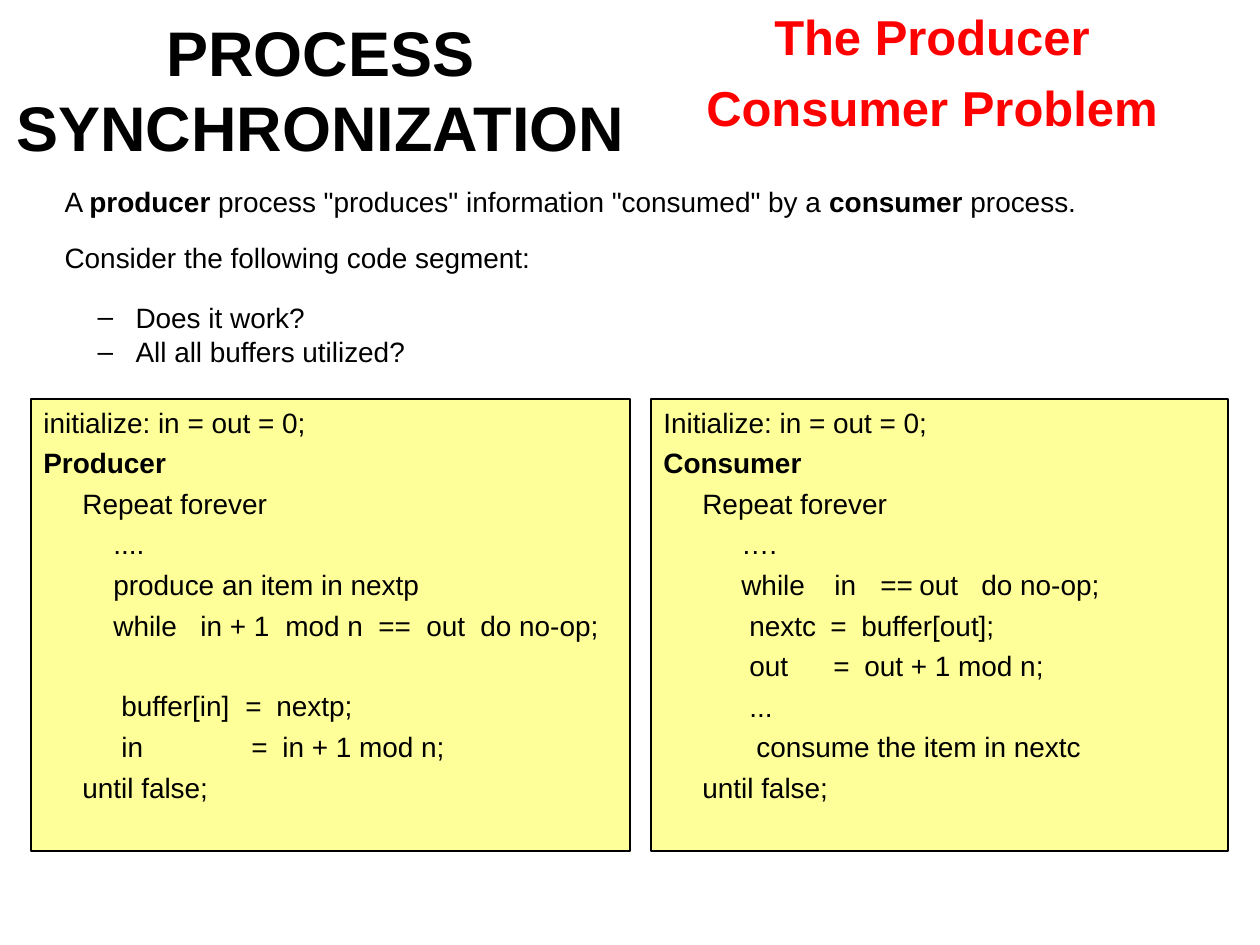
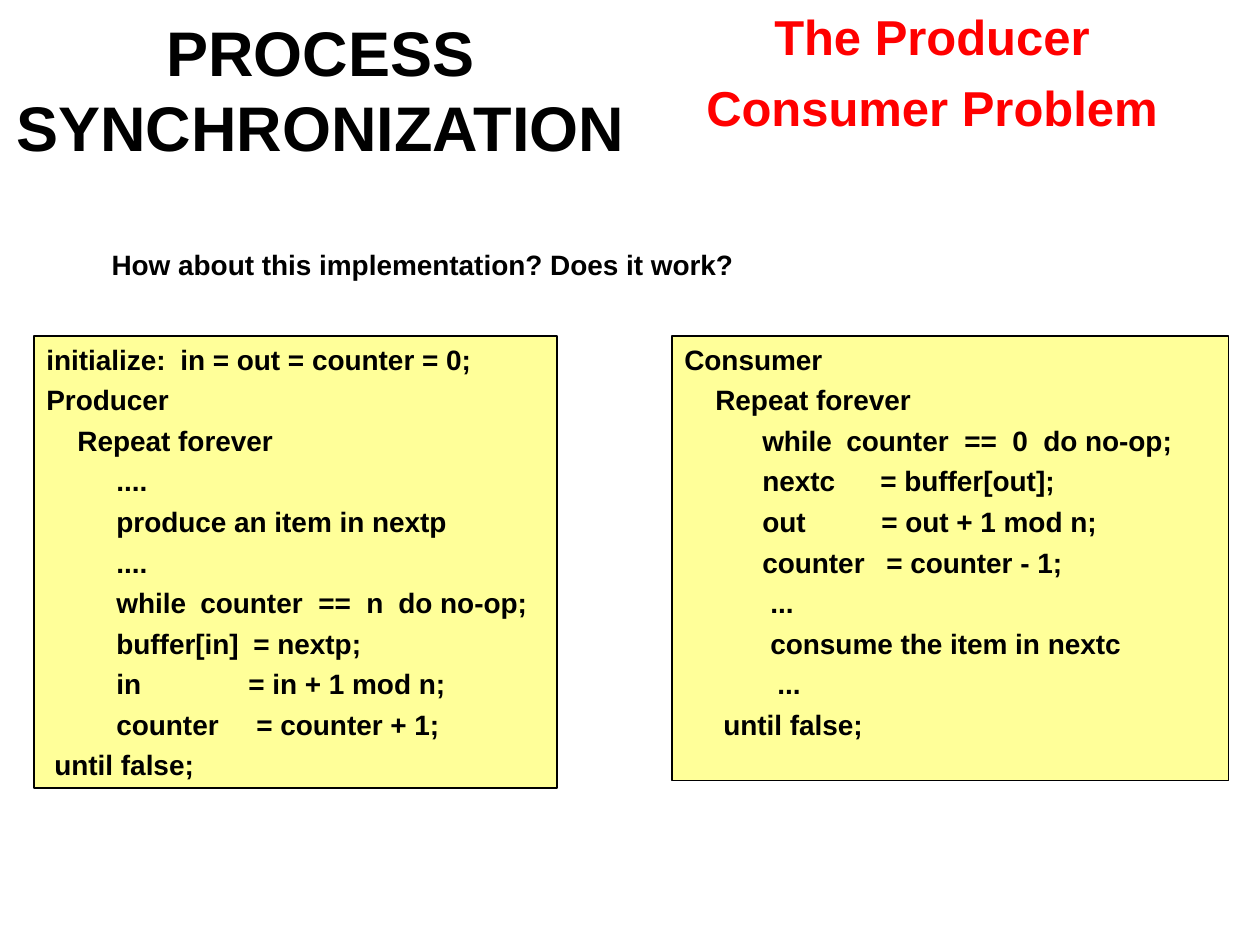
from lxml import etree
from pptx import Presentation
from pptx.dml.color import RGBColor
from pptx.enum.shapes import MSO_SHAPE
from pptx.enum.text import MSO_ANCHOR, MSO_AUTO_SIZE, PP_ALIGN
from pptx.oxml.ns import qn
from pptx.util import Pt

PX = 914400 // 126
BLACK = RGBColor(0x00, 0x00, 0x00)
RED = RGBColor(0xFF, 0x00, 0x00)
YELLOW = RGBColor(0xFF, 0xFF, 0x99)
FONT = "Arial"
BODY_SIZE = 16
LEFT, CENTER = PP_ALIGN.LEFT, PP_ALIGN.CENTER
TOP, MIDDLE = MSO_ANCHOR.TOP, MSO_ANCHOR.MIDDLE
NO_FIT = MSO_AUTO_SIZE.NONE
RECT = MSO_SHAPE.RECTANGLE


def px(*values):
    """Turn pixels into EMU."""
    return [round(v * PX) for v in values]


def place(shape, box):
    """Move a placeholder to a box."""
    shape.left, shape.top, shape.width, shape.height = px(*box)


def frame(shape, anchor=TOP, wrap=True):
    """Set up the text frame of a shape with fixed size."""
    tf = shape.text_frame
    tf.word_wrap = wrap
    tf.auto_size = NO_FIT
    tf.vertical_anchor = anchor
    tf.margin_left = tf.margin_right = Pt(7.2)
    tf.margin_top = tf.margin_bottom = Pt(3.6)
    return tf


def paragraph(tf, runs, size=BODY_SIZE, color=BLACK, align=LEFT, before=4,
              margin=0, indent=0, bullet=None, stops=()):
    """Add a paragraph of (text, bold) runs, set by indents or by tab stops."""
    first = tf.paragraphs[0]
    p = tf.add_paragraph() if first.runs else first
    p.alignment = align
    p.space_before = Pt(before)
    pPr = p._p.get_or_add_pPr()
    if stops:
        tabs = etree.SubElement(pPr, qn("a:tabLst"))
        for pos in px(*stops):
            etree.SubElement(tabs, qn("a:tab"), pos=str(pos), algn="l")
    else:
        pPr.set("marL", str(px(margin)[0]))
        pPr.set("indent", str(px(indent)[0]))
        if bullet:
            etree.SubElement(pPr, qn("a:buChar")).set("char", bullet)
        else:
            etree.SubElement(pPr, qn("a:buNone"))
    for text, bold in runs:
        r = p.add_run()
        r.text = text
        r.font.name, r.font.size, r.font.bold = FONT, Pt(size), bold
        r.font.color.rgb = color


def header(s):
    """Fill the title and add the red topic heading beside it."""
    place(s.shapes.title, (0, 31, 641, 116))
    paragraph(frame(s.shapes.title, MIDDLE), [("PROCESS SYNCHRONIZATION", True)],
              size=36, align=CENTER, before=0)
    tf = frame(s.shapes.add_textbox(*px(694, 0, 476, 142)), wrap=False)
    for line in ("The Producer", "Consumer Problem"):
        paragraph(tf, [(line, True)], size=28, color=RED, align=CENTER, before=7)


def body(s, box):
    """Place the body placeholder and return its text frame."""
    sp = s.placeholders[1]
    place(sp, box)
    return frame(sp)


def code_panel(s, box, lines, all_bold=False, heads=(), gap_before=None):
    """Draw a yellow panel of code; each line is (indent, text, tab stops)."""
    sp = s.shapes.add_shape(RECT, *px(*box))
    sp.shadow.inherit = False
    sp.fill.solid()
    sp.fill.fore_color.rgb = YELLOW
    sp.line.color.rgb = BLACK
    sp.line.width = Pt(0.75)
    tf = frame(sp)
    for i, (indent, text, *stops) in enumerate(lines):
        bold = all_bold or text in heads
        if stops and indent:
            text, stops = "\t" + text, [indent, *stops]
        paragraph(tf, [(text, bold)], indent=indent, stops=stops,
                  before=27 if i == gap_before else 4)


def first_version(prs):
    """Slide with the problem statement and the in/out version."""
    s = prs.slides.add_slide(prs.slide_layouts[0])
    header(s)
    tf = body(s, (52, 178, 1176, 199))
    paragraph(tf, [("A ", False), ("producer", True),
                   (' process "produces" information "consumed" by a ', False),
                   ("consumer", True), (" process.", False)])
    paragraph(tf, [("Consider the following code segment:", False)], before=13)
    for text, before in (("Does it work?", 15), ("All all buffers utilized?", 0.5)):
        paragraph(tf, [(text, False)], before=before, margin=71, indent=-38,
                  bullet="–")
    code_panel(s, (31, 399, 599, 452), [
        (0, "initialize: in = out = 0;"),
        (0, "Producer"),
        (39, "Repeat forever"),
        (70, "...."),
        (70, "produce an item in nextp"),
        (70, "while\tin + 1\tmod n\t==\tout\tdo no-op;", 157, 242, 335, 383, 437),
        (78, "buffer[in]\t=\tnextp;", 202, 233),
        (78, "in\t=\tin + 1 mod n;", 208, 239),
        (39, "until false;"),
    ], heads=("Producer",), gap_before=6)
    code_panel(s, (651, 399, 577, 452), [
        (0, "Initialize: in = out = 0;"),
        (0, "Consumer"),
        (39, "Repeat forever"),
        (78, "…."),
        (78, "while\tin\t==\tout\tdo no-op;", 171, 217, 256, 318),
        (86, "nextc\t=\tbuffer[out];", 167, 198),
        (86, "out\t=\tout + 1 mod n;", 170, 201),
        (86, "..."),
        (93, "consume the item in nextc"),
        (39, "until false;"),
    ], heads=("Consumer",))


def counter_version(prs):
    """Slide with the version that counts the full buffers."""
    s = prs.slides.add_slide(prs.slide_layouts[0])
    header(s)
    tf = body(s, (84, 241, 1103, 73))
    paragraph(tf, [("How about this implementation? Does it work?", True)], indent=15)
    code_panel(s, (34, 336, 523, 452), [
        (0, "initialize:\tin = out = counter = 0;", 134),
        (0, "Producer"),
        (31, "Repeat forever"),
        (70, "...."),
        (70, "produce an item in nextp"),
        (70, "...."),
        (70, "while\tcounter\t==\tn\tdo no-op;", 154, 272, 320, 352),
        (70, "buffer[in]\t= nextp;", 207),
        (70, "in\t= in + 1 mod n;", 202),
        (70, "counter\t= counter + 1;", 210),
        (8, "until false;"),
    ], all_bold=True)
    code_panel(s, (672, 336, 557, 445), [
        (0, "Consumer"),
        (31, "Repeat forever"),
        (78, "while\tcounter\t==\t0\tdo no-op;", 162, 280, 328, 359),
        (78, "nextc\t= buffer[out];", 196),
        (78, "out\t= out + 1 mod n;", 197),
        (78, "counter\t= counter - 1;", 202),
        (86, "..."),
        (86, "consume the item in nextc"),
        (93, "..."),
        (39, "until false;"),
    ], all_bold=True)


prs = Presentation()
prs.slide_width, prs.slide_height = px(1260, 945)
first_version(prs)
counter_version(prs)
prs.save("out.pptx")
